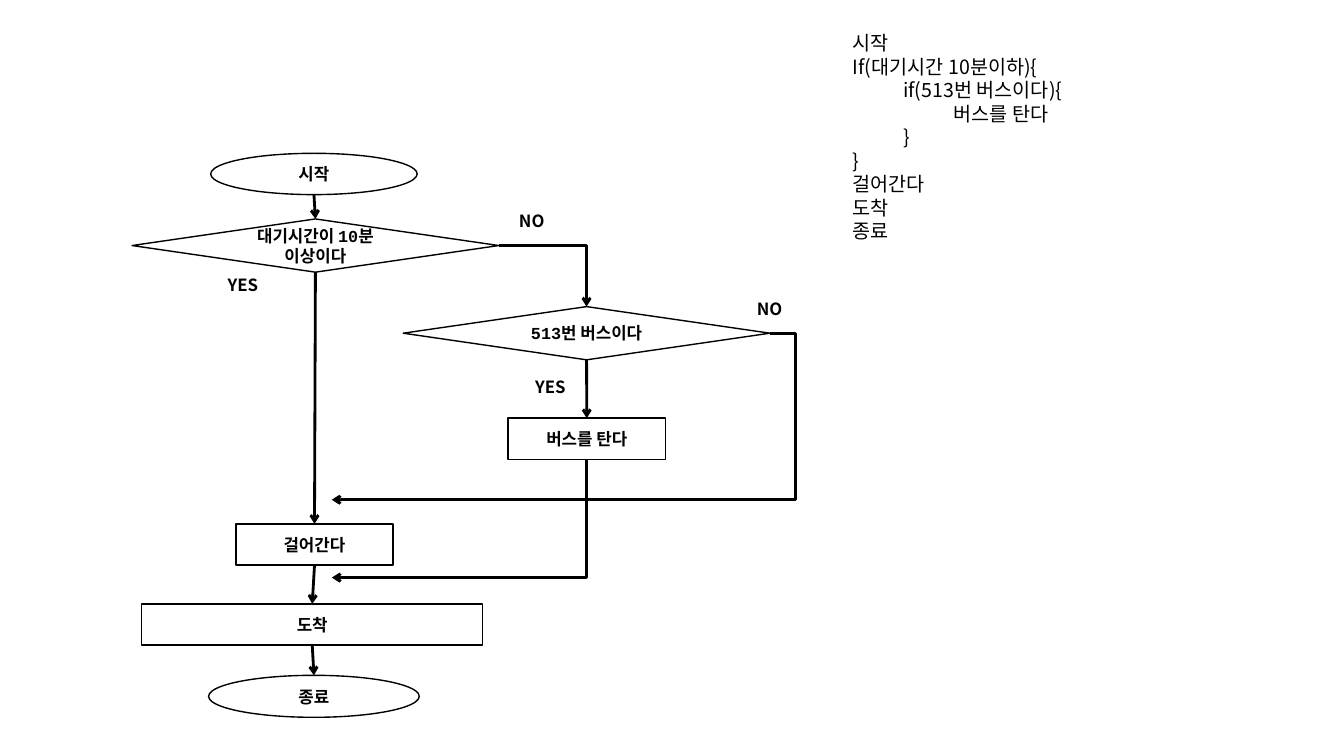
from lxml import etree
from pptx import Presentation
from pptx import util as u
from pptx.dml.color import RGBColor
from pptx.enum import shapes, text
from pptx.oxml.ns import qn

Pt = u.Pt
KIND = shapes.MSO_SHAPE


class Theme:
    ink = RGBColor(0, 0, 0)
    paper = RGBColor(255, 255, 255)
    hangul, mono = "Noto Sans CJK KR", "Courier New"
    node_size, code_size = 12, 14
    outline, flow = 1, 2


# Content: name -> (kind, wording, font, left, top, width, height)
STEPS = {
    "start": (KIND.OVAL, "시작", Theme.hangul, 150.5, 109.5, 147.5, 29.5),
    "wait": (KIND.FLOWCHART_DECISION, "대기시간이 10분\n이상이다", Theme.mono, 94.3, 156.4, 262, 38),
    "bus": (KIND.FLOWCHART_DECISION, "513번 버스이다", Theme.mono, 288, 219, 262, 38),
    "ride": (KIND.FLOWCHART_PROCESS, "버스를 탄다", Theme.hangul, 363, 298.7, 112.3, 29.5),
    "walk": (KIND.FLOWCHART_PROCESS, "걸어간다", Theme.hangul, 168.5, 374.2, 112.3, 29.5),
    "arrive": (KIND.FLOWCHART_PROCESS, "도착", Theme.hangul, 101.3, 431.3, 243.5, 29.5),
    "end": (KIND.OVAL, "종료", Theme.hangul, 149, 482.4, 150.5, 30),
}
DOWNWARD = [("start", "wait"), ("wait", "walk"), ("bus", "ride"),
            ("walk", "arrive"), ("arrive", "end")]
ANSWERS = [("YES", 155.5, 193), ("NO", 363.6, 146.9),
           ("YES", 375.1, 265.7), ("NO", 533.5, 209.5)]
PSEUDOCODE = """시작
If(대기시간 10분이하){
\tif(513번 버스이다){
\t\t버스를 탄다
\t}
}
걸어간다
도착
종료"""
MERGE_X, SKIP_Y, RIDE_Y, DETOUR = 237, 357, 412.6, 18

deck = Presentation()
deck.slide_width, deck.slide_height = Pt(960), Pt(540)
slide = deck.slides.add_slide(deck.slide_layouts[6])


def write(shape, wording, size, font=Theme.hangul, bold=True, align=text.PP_ALIGN.LEFT):
    shape.text_frame.text = wording
    for paragraph in shape.text_frame.paragraphs:
        paragraph.alignment = align
        for run in paragraph.runs:
            run.font.size, run.font.bold, run.font.name = Pt(size), bold, font
            run.font.color.rgb = Theme.ink
            east_asian = etree.SubElement(run.font._element, qn("a:ea"))
            east_asian.set("typeface", Theme.hangul)


def add_note(wording, left, top, width, height, size, bold):
    note = slide.shapes.add_textbox(Pt(left), Pt(top), Pt(width), Pt(height))
    write(note, wording, size, bold=bold)
    note.text_frame.word_wrap = True
    note.text_frame.auto_size = text.MSO_AUTO_SIZE.SHAPE_TO_FIT_TEXT


def add_arrow(begin, finish, kind=shapes.MSO_CONNECTOR.STRAIGHT):
    arrow = slide.shapes.add_connector(kind, *(Pt(v) for v in begin + finish))
    arrow.line.color.rgb, arrow.line.width = Theme.ink, Pt(Theme.flow)
    head = etree.SubElement(arrow.line._get_or_add_ln(), qn("a:tailEnd"))
    head.set("type", "arrow")
    etree.SubElement(arrow._element.spPr, qn("a:effectLst"))
    return arrow


def side(name, across, down):
    """Point on a step's frame, as fractions of its width and height."""
    left, top, width, height = STEPS[name][3:]
    return left + across * width, top + down * height


def top_of(name):
    return side(name, 0.5, 0)


def bottom_of(name):
    return side(name, 0.5, 1)


def right_of(name):
    return side(name, 1, 0.5)


# Steps
for kind, wording, font, *frame in STEPS.values():
    step = slide.shapes.add_shape(kind, *(Pt(v) for v in frame))
    step.shadow.inherit = False
    step.fill.solid()
    step.fill.fore_color.rgb = Theme.paper
    step.line.color.rgb, step.line.width = Theme.ink, Pt(Theme.outline)
    step.text_frame.vertical_anchor = text.MSO_ANCHOR.MIDDLE
    write(step, wording, Theme.node_size, font, align=text.PP_ALIGN.CENTER)

# Straight flow
for upper, lower in DOWNWARD:
    add_arrow(bottom_of(upper), top_of(lower))

# Long wait leads right, then down to the bus question
ELBOW = shapes.MSO_CONNECTOR.ELBOW
to_bus = add_arrow(right_of("wait"), top_of("bus"), ELBOW)
to_bus._element.spPr.prstGeom.set("prst", "bentConnector2")

# Wrong bus goes around the right side and back to the walk
skip_start = right_of("bus")
skip = add_arrow(skip_start, (MERGE_X, SKIP_Y), ELBOW)
guide = etree.SubElement(skip._element.spPr.prstGeom.get_or_add_avLst(), qn("a:gd"))
guide.set("name", "adj1")
guide.set("fmla", f"val {round(-100000 * DETOUR / (skip_start[0] - MERGE_X))}")

# After the ride: down, then left; the frame is a quarter turn about its centre
ride_x, ride_bottom = bottom_of("ride")
drop, run_left = RIDE_Y - ride_bottom, ride_x - MERGE_X
mid_x, mid_y = (ride_x + MERGE_X) / 2, (ride_bottom + RIDE_Y) / 2
after_ride = add_arrow((mid_x - drop / 2, mid_y - run_left / 2),
                       (mid_x + drop / 2, mid_y + run_left / 2), ELBOW)
after_ride._element.spPr.prstGeom.set("prst", "bentConnector2")
after_ride._element.spPr.find(qn("a:xfrm")).set("rot", str(90 * 60000))

# Answers and pseudocode
for answer, left, top in ANSWERS:
    add_note(answer, left, top, 44.6, 21.8, Theme.node_size, True)
add_note(PSEUDOCODE, 602, 18.7, 349, 160, Theme.code_size, False)

deck.save("out.pptx")
